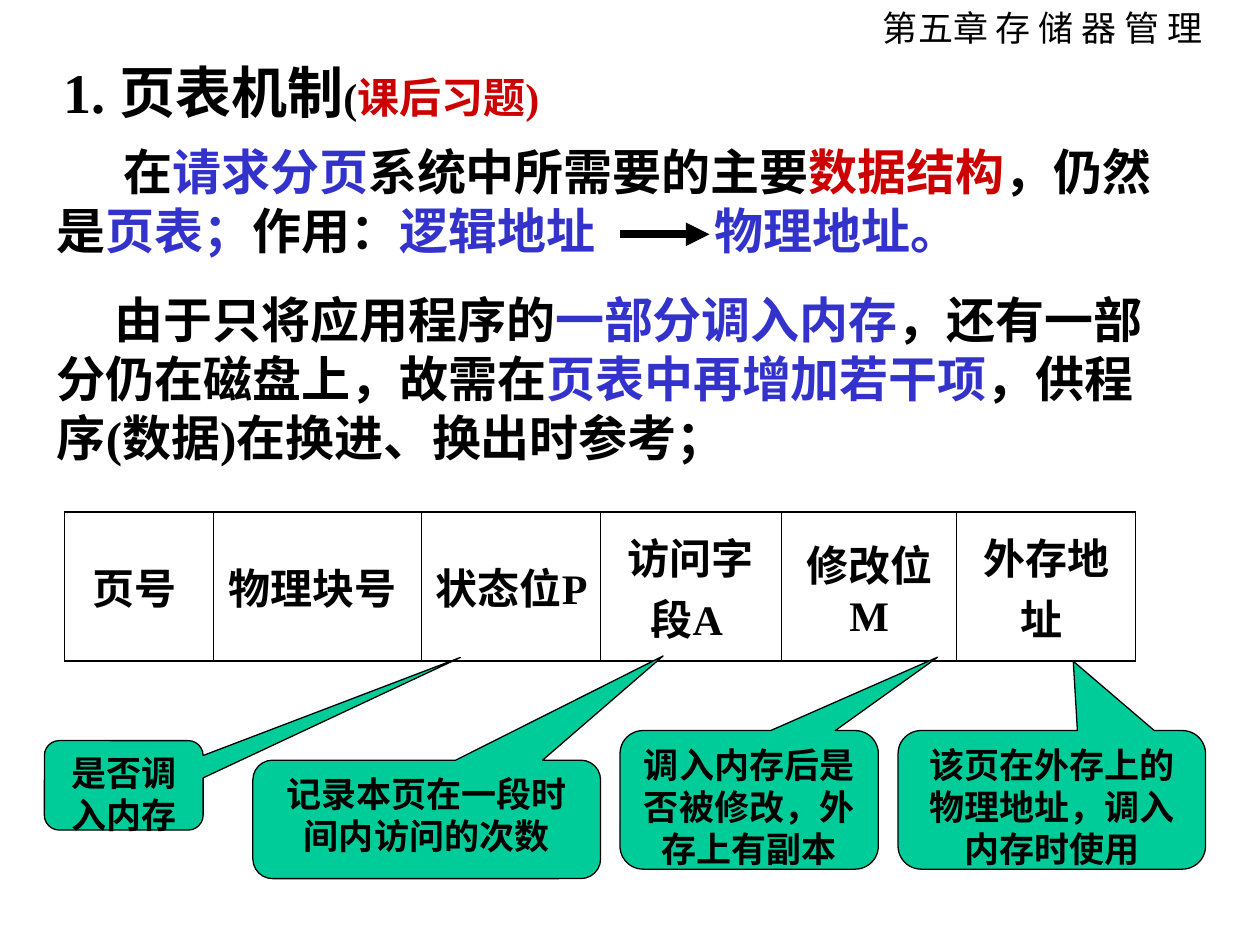
from lxml import etree
from pptx import Presentation
from pptx.dml.color import RGBColor
from pptx.enum import shapes, text
from pptx.oxml.ns import qn
from pptx.util import Pt

HEAD = "第五章 存 储 器 管 理"
TITLE = [("1. 页表机制", "ink", 32), ("(", "ink", 24), ("课后习题)", "red", 24)]
GAP = " "
BODY = [
    (38, 0, [("在", "ink"), ("请求分页", "blue"), ("系统中所需要的主要", "ink"),
             ("数据结构", "red"), ("，仍然是", "ink"), ("页表；", "blue"),
             ("作用：", "ink"), ("逻辑地址", "blue"), (GAP, "blue"),
             ("物理地址。", "blue")]),
    (33, 17.5, [("由于只将应用程序的", "ink"), ("一部分调入内存", "blue"),
                ("，还有一部分仍在磁盘上，故需在", "ink"),
                ("页表中再增加若干项", "blue"),
                ("，供程序(数据)在换进、换出时参考；", "ink")]),
]
COLS = [("页号 ", 85), ("物理块号 ", 118.8), ("状态位P ", 102.2),
        ("访问字段A ", 103.7), ("修改位M", 100.2), ("外存地址 ", 102.2)]
NOTES = [
    ("是否调入内存", (25.4, 423.2, 90.7, 51.1), (2.12, -1.43)),
    ("记录本页在一段时间内访问的次数", (144.5, 434.4, 198.7, 67.7), (0.68, -1.38)),
    ("调入内存后是否被修改，外存上有副本", (354.3, 417.5, 147.6, 79.2), (0.73, -1.03)),
    ("该页在外存上的物理地址，调入内存时使用", (513.2, 417.5, 175.7, 79.2), (0.07, -1)),
]
THEME = {
    "ink": RGBColor(0, 0, 0), "blue": RGBColor(0x33, 0x33, 0xCC),
    "red": RGBColor(0xCC, 0, 0), "green": RGBColor(0, 0xCC, 0x99),
    "font": "Times New Roman", "sans": "Noto Sans CJK SC",
    "body": 28, "cell": 24, "note": 20, "gap": 62,
}


def place(shape, box):
    shape.left, shape.top, shape.width, shape.height = map(Pt, box)


def style(font, size, color="ink", name="font", bold=True):
    font.size, font.bold, font.name = Pt(size), bold, THEME[name]
    font.color.rgb = THEME[color]


def write(para, runs):
    for words, color, size in runs:
        run = para.add_run()
        run.text = words
        style(run.font, size, color)
        if words == GAP:
            run._r.get_or_add_rPr().set("spc", str(THEME["gap"] * 100))


def border(cell, sides):
    props = cell._tc.get_or_add_tcPr()
    for i, (side, width) in enumerate(sides):
        line = etree.Element(qn("a:" + side), w=str(Pt(width)))
        fill = etree.SubElement(line, qn("a:solidFill"))
        etree.SubElement(fill, qn("a:srgbClr"), val=str(THEME["ink"]))
        props.insert(i, line)


deck = Presentation()
deck.slide_width, deck.slide_height = Pt(720), Pt(540)
slide = deck.slides.add_slide(deck.slide_layouts[5])

title = slide.shapes.title
place(title, (28.8, 29.5, 319, 46.1))
frame = title.text_frame
frame.word_wrap = False
frame.auto_size = text.MSO_AUTO_SIZE.NONE
frame.vertical_anchor = text.MSO_ANCHOR.TOP
frame.paragraphs[0].alignment = text.PP_ALIGN.LEFT
write(frame.paragraphs[0], TITLE)

head = slide.shapes.add_textbox(Pt(497.5), Pt(0), Pt(201.6), Pt(31.7))
head.text_frame.text = HEAD
style(head.text_frame.paragraphs[0].runs[0].font, 20, name="sans", bold=False)

body = slide.shapes.add_textbox(Pt(25.5), Pt(77.3), Pt(652.3), Pt(193))
body.text_frame.word_wrap = True
for i, (indent, before, runs) in enumerate(BODY):
    para = body.text_frame.paragraphs[0] if i == 0 else body.text_frame.add_paragraph()
    para.space_before = Pt(before)
    para._p.get_or_add_pPr().set("indent", str(Pt(indent)))
    write(para, [(words, color, THEME["body"]) for words, color in runs])

wide = sum(width for _, width in COLS)
table = slide.shapes.add_table(1, len(COLS), Pt(36.9), Pt(292.6), Pt(wide), Pt(85)).table
for i, (words, width) in enumerate(COLS):
    table.columns[i].width = Pt(width)
    cell = table.cell(0, i)
    cell.text = words
    cell.fill.background()
    cell.vertical_anchor = text.MSO_ANCHOR.MIDDLE
    para = cell.text_frame.paragraphs[0]
    para.alignment = text.PP_ALIGN.CENTER
    style(para.runs[0].font, THEME["cell"])
    left = 1 if i == 0 else 0.5
    right = 1 if i == len(COLS) - 1 else 0.5
    border(cell, [("lnL", left), ("lnR", right), ("lnT", 1), ("lnB", 1)])

for words, box, tip in NOTES:
    note = slide.shapes.add_shape(
        shapes.MSO_SHAPE.ROUNDED_RECTANGULAR_CALLOUT, *map(Pt, box))
    note.adjustments[0], note.adjustments[1] = tip
    note.shadow.inherit = False
    note.fill.solid()
    note.fill.fore_color.rgb = THEME["green"]
    note.line.color.rgb = THEME["ink"]
    note.line.width = Pt(0.75)
    note.text_frame.text = words
    note.text_frame.vertical_anchor = text.MSO_ANCHOR.TOP
    para = note.text_frame.paragraphs[0]
    para.alignment = text.PP_ALIGN.CENTER
    style(para.runs[0].font, THEME["note"])

arrow = slide.shapes.add_connector(
    shapes.MSO_CONNECTOR.STRAIGHT, Pt(354.2), Pt(133.9), Pt(405.4), Pt(133.9))
arrow.line.color.rgb = THEME["ink"]
arrow.line.width = Pt(4.5)
etree.SubElement(arrow.line._get_or_add_ln(), qn("a:tailEnd"), type="triangle")
etree.SubElement(arrow._element.spPr, qn("a:effectLst"))

deck.save("out.pptx")
